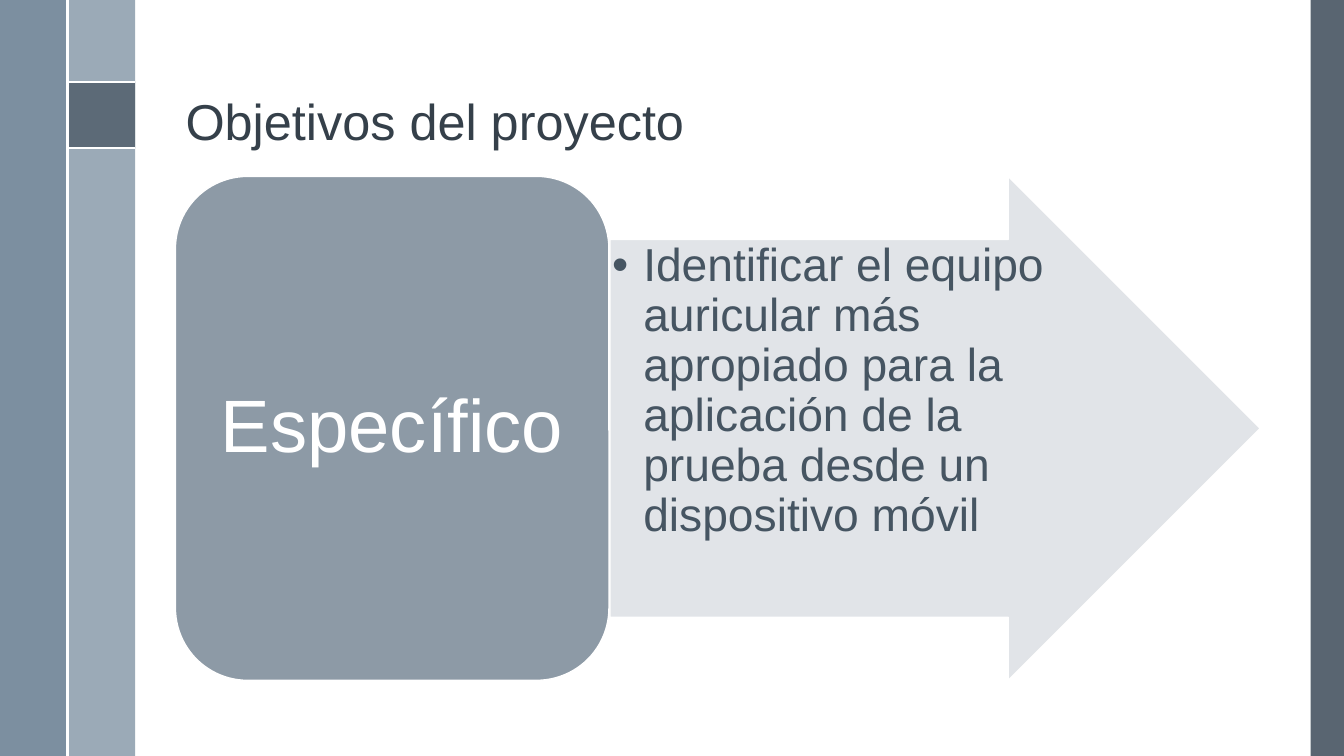
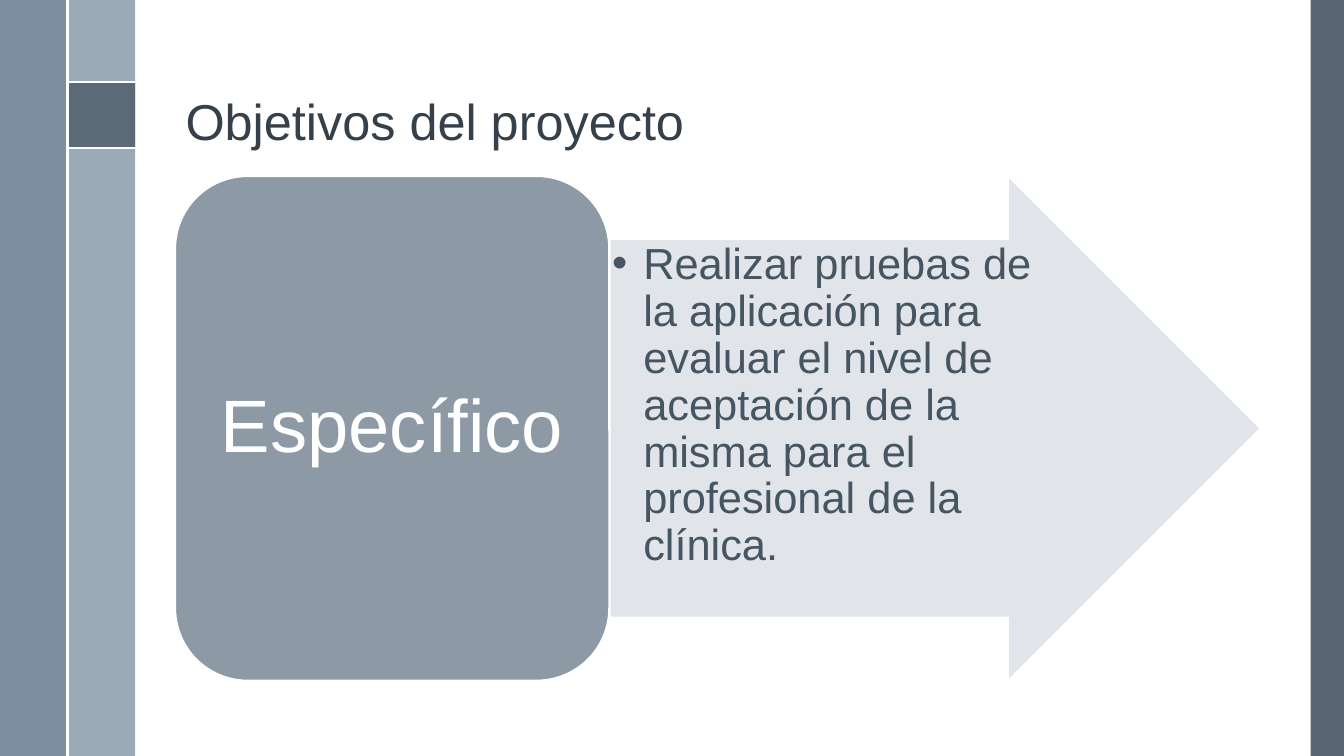
import dataclasses

import lxml.etree
import pptx
import pptx.dml.color
import pptx.enum.shapes
import pptx.enum.text
import pptx.oxml.ns
import pptx.util

Inches = pptx.util.Inches
Pt = pptx.util.Pt
qn = pptx.oxml.ns.qn
SHAPE = pptx.enum.shapes.MSO_SHAPE
ALIGN = pptx.enum.text.PP_ALIGN
ANCHOR = pptx.enum.text.MSO_ANCHOR

# Shared look
FONT = "Arial"
WIDTH, HEIGHT = 13.33, 7.5
BAND = 0.67
SLATE, WHITE = "475562", "FFFFFF"
TITLE_COLOR, BODY_COLOR = "35404A", "465562"
ARROW_FILL, CARD_FILL = "DEE2E6", "8D9AA6"


@dataclasses.dataclass(frozen=True)
class Box:
    left: float
    top: float
    width: float
    height: float

    def emu(self) -> tuple:
        return tuple(Inches(v) for v in dataclasses.astuple(self))


@dataclasses.dataclass(frozen=True)
class Band:
    box: Box
    fill: str
    alpha: int = 100


@dataclasses.dataclass(frozen=True)
class Objective:
    title: str
    label: str
    text: str
    size: int


BANDS = [
    Band(Box(13, 0, 0.33, HEIGHT), SLATE, 90),
    Band(Box(BAND, 0, BAND, HEIGHT), "9BAAB7"),
    Band(Box(0, 0, BAND, HEIGHT), "6A8093", 88),
    Band(Box(BAND, 0.81, BAND, 0.66), SLATE, 75),
]
RULES = [
    Box(BAND, 0.81, BAND, 0),
    Box(BAND, 1.47, BAND, 0),
    Box(BAND, 0, 0, HEIGHT),
]
TITLE_BOX = Box(1.74, 0.19, 10.7, 1.36)
CARD_BOX = Box(1.74, 1.75, 4.3, 5)
ARROW_BOX = Box(6.05, 1.75, 6.45, 5)
LIST_BOX = Box(6.05, 2.38, 4.58, 3.75)

OBJECTIVES = [
    Objective("Objetivos del proyecto", "Específico",
              "Identificar el equipo auricular más apropiado para la "
              "aplicación de la prueba desde un dispositivo móvil", 33),
    Objective("Objetivos del proyecto", "Específico",
              "Realizar pruebas de la aplicación para evaluar el nivel de "
              "aceptación de la misma para el profesional de la clínica.", 31),
]


def rgb(value: str) -> pptx.dml.color.RGBColor:
    return pptx.dml.color.RGBColor.from_string(value)


def add_block(slide, kind, box: Box, fill: str, alpha: int = 100,
              outline: str = ""):
    """Add a filled shape, optionally translucent or outlined."""
    sp = slide.shapes.add_shape(kind, *box.emu())
    sp.shadow.inherit = False
    sp.fill.solid()
    sp.fill.fore_color.rgb = rgb(fill)
    if alpha < 100:
        color = sp.element.spPr.find(qn("a:solidFill"))[0]
        lxml.etree.SubElement(color, qn("a:alpha"), val=str(alpha * 1000))
    if outline:
        sp.line.color.rgb = rgb(outline)
        sp.line.width = Pt(1)
    else:
        sp.line.fill.background()
    return sp


def add_rule(slide, box: Box) -> None:
    left, top, width, height = box.emu()
    line = slide.shapes.add_connector(
        pptx.enum.shapes.MSO_CONNECTOR.STRAIGHT,
        left, top, left + width, top + height)
    line.line.color.rgb = rgb(WHITE)
    line.line.width = Pt(1.5)
    lxml.etree.SubElement(line.element.spPr, qn("a:effectLst"))


def place(sp, box: Box) -> None:
    sp.left, sp.top, sp.width, sp.height = box.emu()


def set_text(sp, text: str, size: int, color: str, align, anchor,
             inset: tuple):
    """Write one paragraph; inset is (horizontal, vertical) in inches."""
    tf = sp.text_frame
    tf.word_wrap = True
    tf.auto_size = pptx.enum.text.MSO_AUTO_SIZE.NONE
    tf.vertical_anchor = anchor
    tf.margin_left = tf.margin_right = Inches(inset[0])
    tf.margin_top = tf.margin_bottom = Inches(inset[1])
    p = tf.paragraphs[0]
    p.alignment = align
    p.line_spacing = 0.9
    p.space_before = Pt(0)
    r = p.add_run()
    r.text = text
    r.font.name = FONT
    r.font.size = Pt(size)
    r.font.color.rgb = rgb(color)
    return p


def add_objective(prs, objective: Objective) -> None:
    slide = prs.slides.add_slide(prs.slide_layouts[1])
    title, body = slide.placeholders

    # Side bands and white rules
    for band in BANDS:
        add_block(slide, SHAPE.RECTANGLE, band.box, band.fill, band.alpha)
    for rule in RULES:
        add_rule(slide, rule)

    # Title
    place(title, TITLE_BOX)
    set_text(title, objective.title, 36, TITLE_COLOR, ALIGN.LEFT,
             ANCHOR.BOTTOM, (0.1, 0.05))

    # Arrow with the bulleted objective in front of it
    arrow = add_block(slide, SHAPE.RIGHT_ARROW, ARROW_BOX, ARROW_FILL, 90,
                      WHITE)
    arrow.adjustments[0] = 0.75
    arrow.adjustments[1] = 0.5
    place(body, LIST_BOX)
    p = set_text(body, objective.text, objective.size, BODY_COLOR, ALIGN.LEFT,
                 ANCHOR.TOP, (0.02, 0.02))
    pPr = p._p.get_or_add_pPr()
    pPr.set("marL", str(Inches(0.31)))
    pPr.set("indent", str(Inches(-0.31)))
    arrow.element.addnext(body.element)

    # Label card
    card = add_block(slide, SHAPE.ROUNDED_RECTANGLE, CARD_BOX, CARD_FILL,
                     outline=WHITE)
    set_text(card, objective.label, 53, WHITE, ALIGN.CENTER, ANCHOR.MIDDLE,
             (0.11, 0.11))


def main() -> None:
    prs = pptx.Presentation()
    prs.slide_width = Inches(WIDTH)
    prs.slide_height = Inches(HEIGHT)
    for objective in OBJECTIVES:
        add_objective(prs, objective)
    prs.save("out.pptx")


if __name__ == "__main__":
    main()
